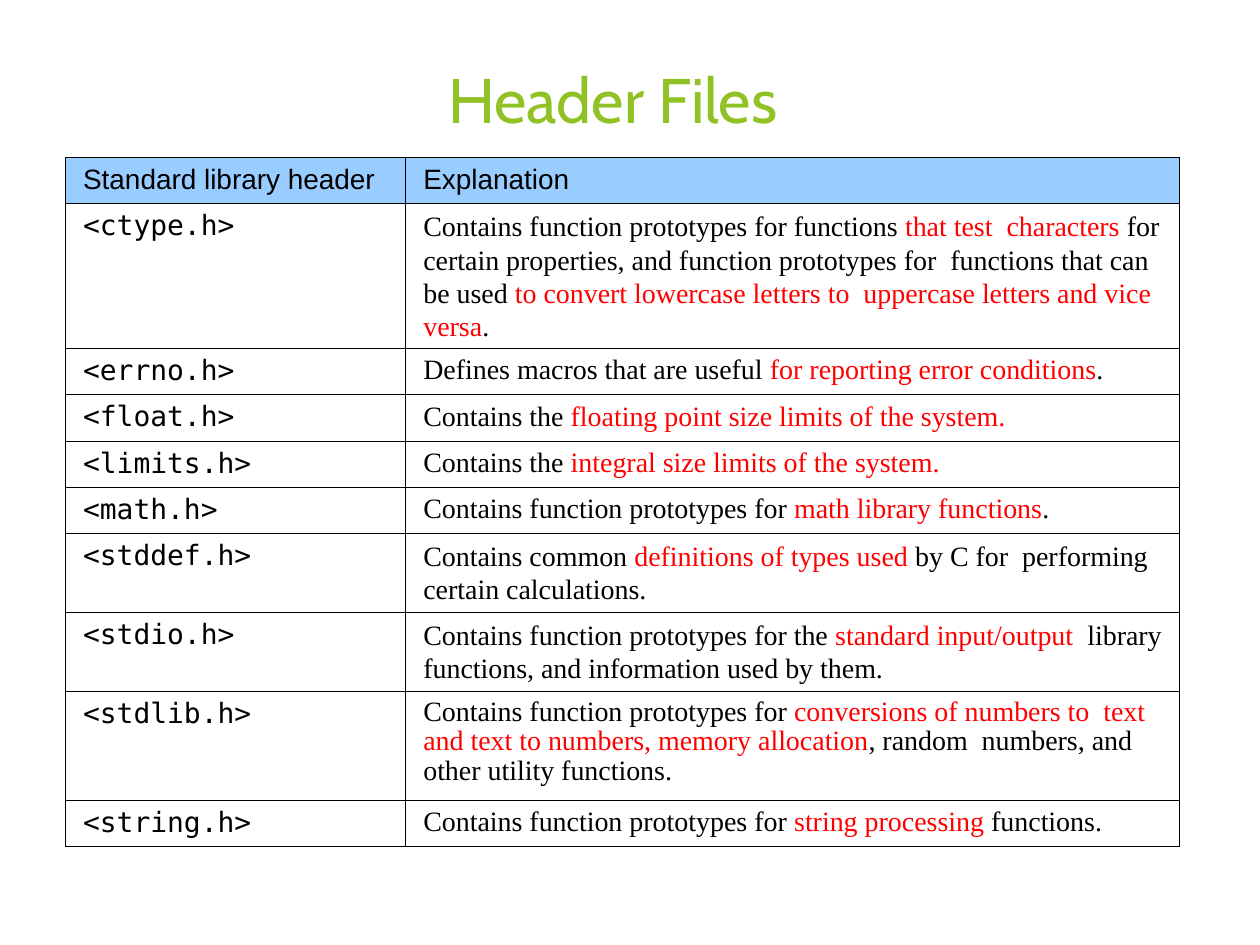
from lxml.etree import SubElement
from pptx import Presentation
from pptx.dml.color import RGBColor
from pptx.enum.text import MSO_ANCHOR
from pptx.oxml.ns import qn
from pptx.util import Inches, Pt

# Content: in each explanation, every second part is highlighted
TITLE = "Header Files"
HEADS = ["Standard library header", "Explanation"]
PROTO = "Contains function prototypes for "
ROWS = [
    ("<ctype.h>", [PROTO + "functions ", "that test  characters ",
                   "for certain properties, and function prototypes for  "
                   "functions that can be used ",
                   "to convert lowercase letters to  uppercase letters and vice versa", "."]),
    ("<errno.h>", ["Defines macros that are useful ",
                   "for reporting error conditions", "."]),
    ("<float.h>", ["Contains the ", "floating point size limits of the system."]),
    ("<limits.h>", ["Contains the", " integral size limits of the system."]),
    ("<math.h>", [PROTO, "math library functions", "."]),
    ("<stddef.h>", ["Contains common ", "definitions of types used ",
                    "by C for  performing certain calculations."]),
    ("<stdio.h>", [PROTO + "the ", "standard input/output  ",
                   "library functions, and information used by them."]),
    ("<stdlib.h>", [PROTO,
                    "conversions of numbers to  text and text to numbers, memory allocation",
                    ", random  numbers, and other utility functions."]),
    ("<string.h>", [PROTO, "string processing ", "functions."]),
]

THEME = {
    "title": {"name": "Cabin", "size": Pt(36), "color": "90C226"},
    "head": {"name": "Arial", "size": Pt(16), "color": "000000"},
    "code": {"name": "DejaVu Sans Mono", "size": Pt(16), "color": "000000"},
    "body": {"name": "Times New Roman", "size": Pt(16), "color": "000000"},
    "mark": {"name": "Times New Roman", "size": Pt(16), "color": "FF0000"},
    "headfill": "99CCFF",
    "fill": "FFFFFF",
    "line": "000000",
}
EDGES = {"L": 0.45, "R": 0.45, "T": 0.4, "B": 0.4}

# Layout
LEFT, TOP = 0.52, 1.25
COLS = [2.7, 6.14]
LOW = 0.36
TALL = {"<ctype.h>": 1.12, "<stddef.h>": 0.61, "<stdio.h>": 0.61, "<stdlib.h>": 0.86}
PITCH = {"<ctype.h>": Pt(18.9), "<stddef.h>": Pt(18.9),
         "<stdio.h>": Pt(18.9), "<stdlib.h>": 0.96}
PADS = {"margin_left": 0.14, "margin_right": 0.1, "margin_top": 0.05, "margin_bottom": 0.05}


def write(para, text, style):
    run = para.add_run()
    run.text = text
    for key, value in THEME[style].items():
        if key == "color":
            run.font.color.rgb = RGBColor.from_string(value)
        else:
            setattr(run.font, key, value)


def dress(cell, fill):
    for key, value in PADS.items():
        setattr(cell, key, Inches(value))
    props = cell._tc.get_or_add_tcPr()
    for side, width in EDGES.items():
        line = SubElement(props, qn("a:ln" + side), w=str(int(Pt(width))))
        solid = SubElement(line, qn("a:solidFill"))
        SubElement(solid, qn("a:srgbClr"), val=THEME["line"])
    cell.fill.solid()
    cell.fill.fore_color.rgb = RGBColor.from_string(THEME[fill])


def main():
    deck = Presentation()
    deck.slide_width, deck.slide_height = Inches(10), Inches(7.5)
    slide = deck.slides.add_slide(deck.slide_layouts[6])

    # Title
    box = slide.shapes.add_textbox(Inches(3.46), Inches(0.39), Inches(3.09), Inches(0.78))
    frame = box.text_frame
    frame.word_wrap = True
    frame.vertical_anchor = MSO_ANCHOR.MIDDLE
    write(frame.paragraphs[0], TITLE, "title")

    # Table grid
    highs = [LOW] + [TALL.get(name, LOW) for name, _ in ROWS]
    table = slide.shapes.add_table(
        len(highs), len(COLS), Inches(LEFT), Inches(TOP),
        Inches(sum(COLS)), Inches(sum(highs))).table
    table.first_row = table.horz_banding = False
    for col, width in zip(table.columns, COLS):
        col.width = Inches(width)
    for row, high in zip(table.rows, highs):
        row.height = Inches(high)

    # Header row
    for cell, text in zip(table.rows[0].cells, HEADS):
        dress(cell, "headfill")
        write(cell.text_frame.paragraphs[0], text, "head")

    # Library rows
    for i, (name, parts) in enumerate(ROWS, 1):
        left, right = table.cell(i, 0), table.cell(i, 1)
        dress(left, "fill")
        dress(right, "fill")
        write(left.text_frame.paragraphs[0], name, "code")
        para = right.text_frame.paragraphs[0]
        para.line_spacing = PITCH.get(name)
        for n, part in enumerate(parts):
            write(para, part, "mark" if n % 2 else "body")

    deck.save("out.pptx")


if __name__ == "__main__":
    main()
